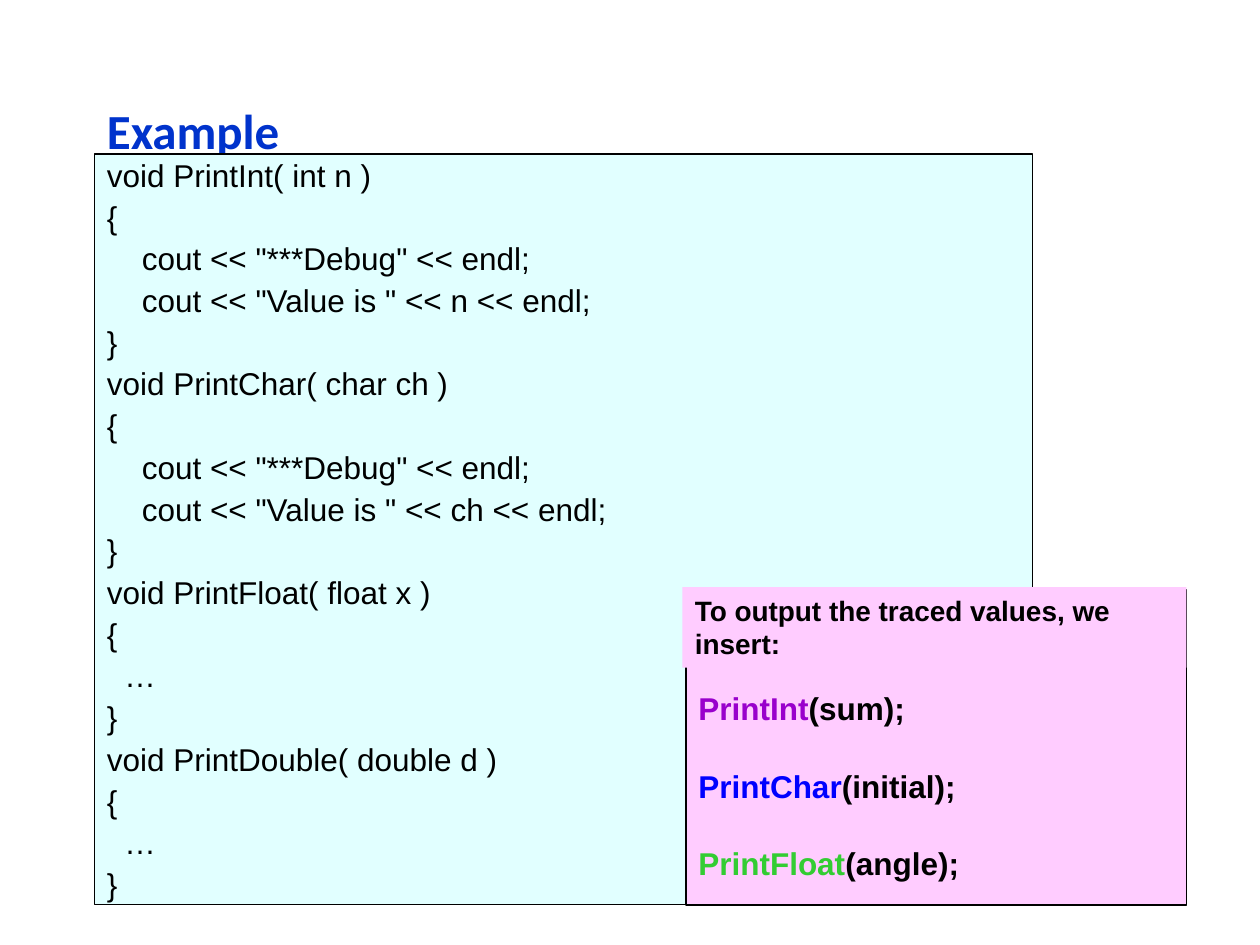
from dataclasses import dataclass

from pptx import Presentation
from pptx.dml.color import RGBColor
from pptx.enum.shapes import MSO_SHAPE
from pptx.enum.text import MSO_ANCHOR, PP_ALIGN
from pptx.util import Pt


@dataclass(frozen=True)
class Theme:
    heading_font: str = "Calibri"
    body_font: str = "Arial"
    title_size: float = 28
    code_size: float = 18
    note_size: float = 16
    title: str = "0033CC"
    ink: str = "000000"
    code_fill: str = "E1FFFF"
    note_fill: str = "FFCCFF"
    int_call: str = "9900CC"
    char_call: str = "0000FF"
    float_call: str = "33CC33"


THEME = Theme()

CODE = """void PrintInt( int n )
{
    cout << "***Debug" << endl;
    cout << "Value is " << n << endl;
}
void PrintChar( char ch )
{
    cout << "***Debug" << endl;
    cout << "Value is " << ch << endl;
}
void PrintFloat( float x )
{
  …
}
void PrintDouble( double d )
{
  …
}"""

CALLS = [
    ("PrintInt", "(sum);", THEME.int_call),
    ("PrintChar", "(initial);", THEME.char_call),
    ("PrintFloat", "(angle);", THEME.float_call),
]


def write(paragraph, text, *, size, color=THEME.ink, font=THEME.body_font, bold=False):
    run = paragraph.add_run()
    run.text = text
    run.font.name = font
    run.font.size = Pt(size)
    run.font.bold = bold
    run.font.color.rgb = RGBColor.from_string(color)


class SlideBuilder:
    def __init__(self, slide, theme):
        self.slide = slide
        self.theme = theme

    def prepare(self, frame):
        frame.word_wrap = True
        frame.vertical_anchor = MSO_ANCHOR.TOP
        return frame

    def paragraph(self, frame, index, gap=0, line_spacing=1.0):
        paragraph = frame.add_paragraph() if index else frame.paragraphs[0]
        paragraph.alignment = PP_ALIGN.LEFT
        paragraph.line_spacing = line_spacing
        if index:
            paragraph.space_before = Pt(gap)
        return paragraph

    def panel(self, left, top, width, height, fill, line_width=None):
        shape = self.slide.shapes.add_shape(
            MSO_SHAPE.RECTANGLE, Pt(left), Pt(top), Pt(width), Pt(height))
        shape.shadow.inherit = False
        shape.fill.solid()
        shape.fill.fore_color.rgb = RGBColor.from_string(fill)
        if line_width:
            shape.line.color.rgb = RGBColor.from_string(self.theme.ink)
            shape.line.width = Pt(line_width)
        else:
            shape.line.fill.background()
        return self.prepare(shape.text_frame)

    def title(self, text, left, top, width, height):
        box = self.slide.shapes.add_textbox(Pt(left), Pt(top), Pt(width), Pt(height))
        write(self.paragraph(self.prepare(box.text_frame), 0), text,
              size=self.theme.title_size, color=self.theme.title,
              font=self.theme.heading_font, bold=True)

    def code(self, source, left, top, width, height):
        frame = self.panel(left, top, width, height, self.theme.code_fill, 0.75)
        for index, line in enumerate(source.splitlines()):
            write(self.paragraph(frame, index, gap=4.4, line_spacing=0.9), line,
                  size=self.theme.code_size)

    def calls(self, calls, left, top, width, height):
        frame = self.panel(left, top, width, height, self.theme.note_fill, 1)
        frame.margin_top = Pt(57)  # room for the note heading
        for index, (function, argument, color) in enumerate(calls):
            paragraph = self.paragraph(frame, index, gap=22.5)
            write(paragraph, function, size=self.theme.code_size, color=color, bold=True)
            write(paragraph, argument, size=self.theme.code_size, bold=True)

    def note(self, text, left, top, width, height):
        frame = self.panel(left, top, width, height, self.theme.note_fill)
        write(self.paragraph(frame, 0), text, size=self.theme.note_size, bold=True)


def main():
    presentation = Presentation()
    presentation.slide_width, presentation.slide_height = Pt(720), Pt(540)
    slide = presentation.slides.add_slide(presentation.slide_layouts[6])
    builder = SlideBuilder(slide, THEME)

    # Title and debug functions
    builder.title("Example", 54, 54, 536, 30)
    builder.code(CODE, 54, 88, 536, 429)

    # Calls that print the traced values
    builder.calls(CALLS, 392, 337, 286, 180)
    builder.note("To output the traced values, we insert:", 390, 335.5, 288, 46)

    presentation.save("out.pptx")


if __name__ == "__main__":
    main()
